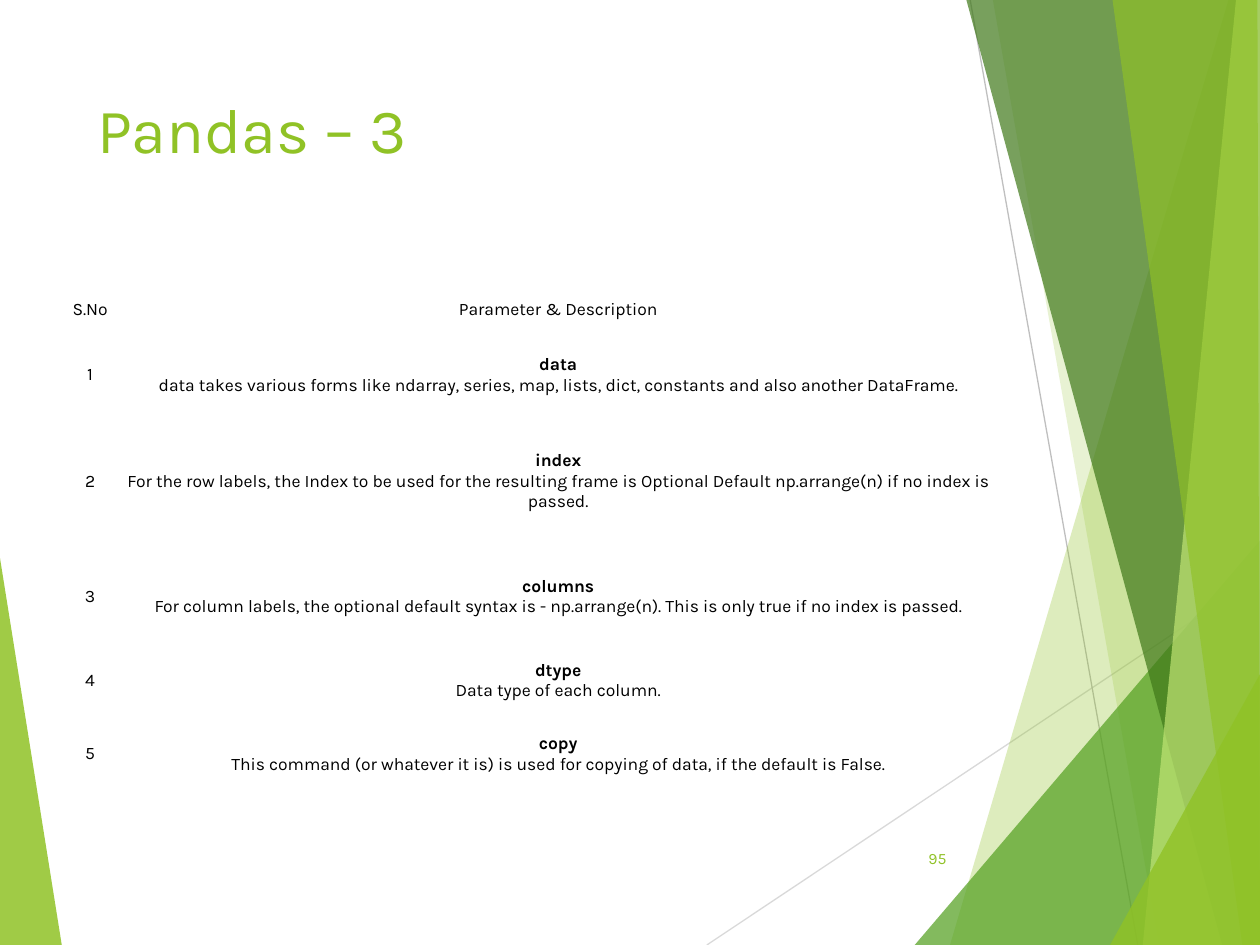
from typing import NamedTuple

from lxml.etree import SubElement
from pptx import Presentation
from pptx.dml.color import RGBColor
from pptx.enum.shapes import MSO_CONNECTOR
from pptx.enum.text import MSO_ANCHOR as ANCHOR, PP_ALIGN as ALIGN
from pptx.oxml.ns import qn
from pptx.util import Inches, Pt

FONT = "Karla"
GREEN = "90C226"
BLACK = "000000"
W, H = 10, 7.5
NO_STYLE_NO_GRID = "{2D5ABB26-0587-4C30-8999-92F81FD0307C}"


class Facet(NamedTuple):
    color: str
    opacity: int
    points: list[tuple[float, float]]


class Ray(NamedTuple):
    color: str
    start: tuple[float, float]
    end: tuple[float, float]


class Parameter(NamedTuple):
    name: str
    description: str
    height: float


LEFT_FACET = Facet(GREEN, 85, [(0, 4.43), (0.49, H), (0, H)])
RAYS = [
    Ray("D9D9D9", (5.61, H), (W, 4.57)),
    Ray("BFBFBF", (7.7, 0), (9.03, H)),
]
RIGHT_FACETS = [
    Facet(GREEN, 30, [(9.75, 0), (7.54, H), (W, H), (W, 0)]),
    Facet(GREEN, 20, [(7.88, 0), (9.2, H), (W, H), (W, 0)]),
    Facet("54A021", 72, [(7.26, H), (W, 4.29), (W, H)]),
    Facet("3F7819", 70, [(7.67, 0), (9.7, H), (W, H), (W, 0)]),
    Facet("C0E474", 70, [(9.81, 0), (9.07, H), (W, H), (W, 0)]),
    Facet(GREEN, 65, [(8.83, 0), (9.86, H), (W, H), (9.98, 0)]),
    Facet(GREEN, 80, [(8.81, H), (W, 5.35), (W, H)]),
]
HEADER_HEIGHT = 0.23
PARAMETERS = [
    Parameter("data", "data takes various forms like ndarray, series, map, lists, "
              "dict, constants and also another DataFrame.", 0.77),
    Parameter("index", "For the row labels, the Index to be used for the resulting "
              "frame is Optional Default np.arrange(n) if no index is passed.", 0.92),
    Parameter("columns", "For column labels, the optional default syntax is - "
              "np.arrange(n). This is only true if no index is passed.", 0.91),
    Parameter("dtype", "Data type of each column.", 0.4),
    Parameter("copy", "This command (or whatever it is) is used for copying of data, "
              "if the default is False.", 0.74),
]


def rgb(color: str) -> RGBColor:
    return RGBColor.from_string(color)


def add_run(p, text: str, size: float, color: str, bold: bool = False) -> None:
    r = p.add_run()
    r.text = text
    r.font.name, r.font.size, r.font.bold = FONT, Pt(size), bold
    r.font.color.rgb = rgb(color)


def draw_facet(s, facet: Facet) -> None:
    points = [(Inches(x), Inches(y)) for x, y in facet.points]
    builder = s.shapes.build_freeform(*points[0])
    builder.add_line_segments(points[1:], close=True)
    sp = builder.convert_to_shape()
    sp.shadow.inherit = False
    sp.line.fill.background()
    sp.fill.solid()
    sp.fill.fore_color.rgb = rgb(facet.color)
    clr = next(sp.element.spPr.iter(qn("a:srgbClr")))
    SubElement(clr, qn("a:alpha"), val=str(facet.opacity * 1000))


def draw_ray(s, ray: Ray) -> None:
    ends = [Inches(v) for v in (*ray.start, *ray.end)]
    line = s.shapes.add_connector(MSO_CONNECTOR.STRAIGHT, *ends)
    line.line.color.rgb = rgb(ray.color)
    line.line.width = Pt(0.75)
    SubElement(line.element.spPr, qn("a:effectLst"))


def fill_cell(cell, lines: list[tuple[str, bool]]) -> None:
    cell.fill.background()
    cell.vertical_anchor = ANCHOR.MIDDLE
    cell.margin_left = cell.margin_right = Inches(0.06)
    cell.margin_top = cell.margin_bottom = Inches(0.05)
    tf = cell.text_frame
    for i, (text, bold) in enumerate(lines):
        p = tf.add_paragraph() if i else tf.paragraphs[0]
        p.alignment = ALIGN.CENTER
        add_run(p, text, 10, BLACK, bold)


def draw_table(s, parameters: list[Parameter]) -> None:
    heights = [HEADER_HEIGHT, *(item.height for item in parameters)]
    frame = s.shapes.add_table(len(heights), 2, Inches(0.5), Inches(2.33),
                               Inches(7.43), Inches(sum(heights)))
    next(frame.element.iter(qn("a:tableStyleId"))).text = NO_STYLE_NO_GRID
    table = frame.table
    table.first_row = table.horz_banding = False
    for column, width in zip(table.columns, (0.43, 7)):
        column.width = Inches(width)
    for row, height in zip(table.rows, heights):
        row.height = Inches(height)
    fill_cell(table.cell(0, 0), [("S.No", False)])
    fill_cell(table.cell(0, 1), [("Parameter & Description", False)])
    for n, item in enumerate(parameters, 1):
        fill_cell(table.cell(n, 0), [(str(n), False)])
        fill_cell(table.cell(n, 1), [(item.name, True), (item.description, False)])


def set_title(s, text: str) -> None:
    title = s.shapes.title
    title.left, title.top = Inches(0.67), Inches(0.67)
    title.width, title.height = Inches(6.94), Inches(1.44)
    tf = title.text_frame
    tf.vertical_anchor = ANCHOR.TOP
    p = tf.paragraphs[0]
    p.alignment = ALIGN.LEFT
    add_run(p, text, 36, GREEN)


def draw_page_number(s, number: str) -> None:
    box = s.shapes.add_textbox(Inches(7.05), Inches(6.61), Inches(0.56), Inches(0.4))
    tf = box.text_frame
    tf.word_wrap = True
    tf.vertical_anchor = ANCHOR.MIDDLE
    p = tf.paragraphs[0]
    p.alignment = ALIGN.RIGHT
    add_run(p, number, 9, GREEN)


def main() -> None:
    prs = Presentation()
    prs.slide_width, prs.slide_height = Inches(W), Inches(H)
    s = prs.slides.add_slide(prs.slide_layouts[5])

    # Background decoration
    draw_facet(s, LEFT_FACET)
    for ray in RAYS:
        draw_ray(s, ray)
    for facet in RIGHT_FACETS:
        draw_facet(s, facet)

    # Content
    set_title(s, "Pandas – 3")
    draw_table(s, PARAMETERS)
    draw_page_number(s, "95")

    prs.save("out.pptx")


if __name__ == "__main__":
    main()
